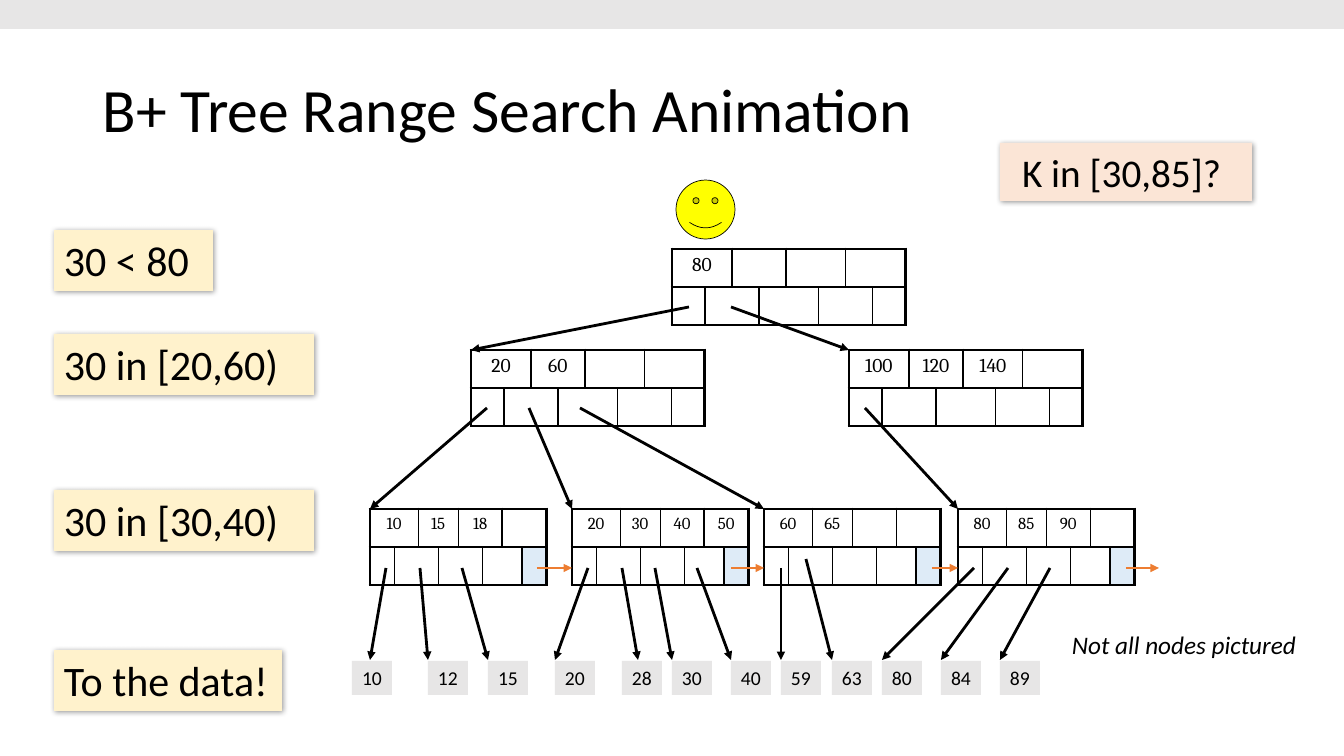
from lxml import etree
from pptx import Presentation
from pptx import util as u
from pptx.dml.color import RGBColor
from pptx.enum import shapes, text
from pptx.oxml import ns

PX = 914400 / 100.8
BLACK = RGBColor(0x00, 0x00, 0x00)
GREY = RGBColor(0xE7, 0xE6, 0xE6)
CREAM = RGBColor(0xFF, 0xF2, 0xCC)
PEACH = RGBColor(0xFB, 0xE5, 0xD6)
PALE_BLUE = RGBColor(0xDE, 0xEB, 0xF7)
ORANGE = RGBColor(0xED, 0x7D, 0x31)
YELLOW = RGBColor(0xFF, 0xFF, 0x00)

ROW_HEIGHT = 38
SLOT_Y = 59
INNER_WIDTHS = (33, 27, 27, 27, 33, 27, 27, 33)
LEAF_WIDTHS = (24, 20, 20, 20, 24, 20, 20, 24)
KEY_GROUPS = ((0, 1), (2, 3), (4, 5), (6, 7))
POINTER_GROUPS = ((0, 0), (1, 2), (3, 4), (5, 6), (7, 7))

ROOT = (672, 249)
LEFT_INNER = (471, 350)
RIGHT_INNER = (849, 350)
LEAF_TOP = 509
DATA_TOP = 661

INNER_NODES = (
    (ROOT, ("80",)),
    (LEFT_INNER, ("20", "60")),
    (RIGHT_INNER, ("100", "120", "140")),
)
LEAVES = (
    (370, ("10", "15", "18"), 167),
    (572, ("20", "30", "40", "50"), 159),
    (764, ("60", "65"), 168),
    (958, ("80", "85", "90"), 168),
)
CHAIN_END = 1159
CHILD_POINTERS = (
    (ROOT, 17, LEFT_INNER),
    (ROOT, 59, RIGHT_INNER),
    (LEFT_INNER, 16, (370, LEAF_TOP)),
    (LEFT_INNER, 58, (572, LEAF_TOP)),
    (LEFT_INNER, 109, (764, LEAF_TOP)),
    (RIGHT_INNER, 16, (958, LEAF_TOP)),
)
DATA = (
    ("10", 352, 386, SLOT_Y, 18),
    ("12", 428, 420, SLOT_Y, 0),
    ("15", 488, 462, SLOT_Y, 0),
    ("20", 555, 588, SLOT_Y, 0),
    ("28", 622, 622, SLOT_Y, 16),
    ("30", 672, 655, SLOT_Y, 0),
    ("40", 731, 697, SLOT_Y, 0),
    ("59", 781, 781, SLOT_Y, 0),
    ("63", 832, 806, 50, 0),
    ("80", 882, 974, SLOT_Y, 0),
    ("84", 941, 1008, SLOT_Y, 0),
    ("89", 1000, 1050, SLOT_Y, 0),
)
STEPS = (
    ("30 < 80", (54, 230, 159, 61)),
    ("30 in [20,60)", (54, 334, 260, 61)),
    ("30 in [30,40)", (54, 490, 260, 61)),
    ("To the data!", (54, 650, 228, 61)),
)


def emu(*lengths):
    return [u.Emu(round(length * PX)) for length in lengths]


def write(frame, words, size=14, font="Calibri", italic=False, spacing=None,
          align=text.PP_ALIGN.LEFT, anchor=text.MSO_ANCHOR.TOP, wrap=True):
    frame.word_wrap = wrap
    frame.vertical_anchor = anchor
    paragraph = frame.paragraphs[0]
    paragraph.alignment = align
    if spacing:
        paragraph.line_spacing = spacing
    run = paragraph.add_run()
    run.text = words
    run.font.size = u.Pt(size)
    run.font.name = font
    run.font.italic = italic
    run.font.color.rgb = BLACK


def add_label(slide, words, box, **style):
    write(slide.shapes.add_textbox(*emu(*box)).text_frame, words, **style)


def add_filled(slide, box, color, kind=shapes.MSO_SHAPE.RECTANGLE):
    shape = slide.shapes.add_shape(kind, *emu(*box))
    shape.shadow.inherit = False
    shape.fill.solid()
    shape.fill.fore_color.rgb = color
    shape.line.fill.background()
    return shape


def add_note(slide, words, box, color, **style):
    shape = add_filled(slide, box, color)
    effects = shape._element.spPr.find(ns.qn("a:effectLst"))
    shadow = etree.SubElement(effects, ns.qn("a:outerShdw"), blurRad="50800",
                              dist="12700", dir="2700000", algn="tl")
    tint = etree.SubElement(shadow, ns.qn("a:srgbClr"), val=str(BLACK))
    etree.SubElement(tint, ns.qn("a:alpha"), val="40000")
    write(shape.text_frame, words, **style)


def add_arrow(slide, start, end, color=BLACK):
    arrow = slide.shapes.add_connector(shapes.MSO_CONNECTOR.STRAIGHT,
                                       *emu(*start, *end))
    arrow.line.color.rgb = color
    arrow.line.width = u.Pt(2)
    etree.SubElement(arrow.line._get_or_add_ln(), ns.qn("a:tailEnd"),
                     type="triangle")
    etree.SubElement(arrow._element.spPr, ns.qn("a:effectLst"))


def set_borders(cell, outer_sides):
    properties = cell._tc.get_or_add_tcPr()
    for side in "LRTB":
        width = u.Pt(2.25 if side in outer_sides else 1)
        line = etree.SubElement(properties, ns.qn(f"a:ln{side}"), w=str(width))
        fill = etree.SubElement(line, ns.qn("a:solidFill"))
        etree.SubElement(fill, ns.qn("a:srgbClr"), val=str(BLACK))


def add_node(slide, corner, keys, widths, size, last_fill=None):
    frame = slide.shapes.add_table(
        2, len(widths), *emu(*corner, sum(widths), 2 * ROW_HEIGHT))
    table = frame.table
    table.first_row = table.horz_banding = False
    for column, width in zip(table.columns, widths):
        column.width = emu(width)[0]
    for row, groups in enumerate((KEY_GROUPS, POINTER_GROUPS)):
        table.rows[row].height = emu(ROW_HEIGHT)[0]
        for first, last in groups:
            sides = "TB"[row] + "L" * (first == 0) + "R" * (last == 7)
            for column in range(first, last + 1):
                cell = table.cell(row, column)
                set_borders(cell, sides)
                cell.fill.background()
                cell.margin_top, cell.margin_bottom = emu(5, 0)
            if last > first:
                table.cell(row, first).merge(table.cell(row, last))
    for key, (first, _) in zip(keys, KEY_GROUPS):
        write(table.cell(0, first).text_frame, key, size=size, font="Cambria",
              align=text.PP_ALIGN.CENTER)
    if last_fill is not None:
        cell = table.cell(1, 7)
        cell.fill.solid()
        cell.fill.fore_color.rgb = last_fill


def add_tree(slide):
    for corner, keys in INNER_NODES:
        add_node(slide, corner, keys, INNER_WIDTHS, 14)
    for left, keys, _ in LEAVES:
        add_node(slide, (left, LEAF_TOP), keys, LEAF_WIDTHS, 12, PALE_BLUE)
    for (left, top), slot, child in CHILD_POINTERS:
        add_arrow(slide, (left + slot, top + SLOT_Y - 1), child)
    chain_ends = [leaf[0] for leaf in LEAVES[1:]] + [CHAIN_END]
    for (left, _, slot), end in zip(LEAVES, chain_ends):
        y = LEAF_TOP + SLOT_Y
        add_arrow(slide, (left + slot, y), (end, y), ORANGE)


def add_data_row(slide, top):
    for value, left, slot_x, slot_y, tip in DATA:
        shape = add_filled(slide, (left, top, 40, 34), GREY)
        write(shape.text_frame, value, align=text.PP_ALIGN.CENTER,
              anchor=text.MSO_ANCHOR.MIDDLE, wrap=False)
        add_arrow(slide, (slot_x, LEAF_TOP + slot_y), (left + tip, top - 1))


def add_smiley(slide, box):
    smiley = add_filled(slide, box, YELLOW, shapes.MSO_SHAPE.SMILEY_FACE)
    smiley.line.color.rgb = BLACK
    smiley.line.width = u.Pt(0.5)


def main():
    presentation = Presentation()
    presentation.slide_width, presentation.slide_height = emu(1344, 756)
    slide = presentation.slides.add_slide(presentation.slide_layouts[6])
    add_label(slide, "B+ Tree Range Search Animation", (93, 40, 1159, 146),
              size=44, spacing=0.9, anchor=text.MSO_ANCHOR.MIDDLE)
    add_tree(slide)
    add_data_row(slide, DATA_TOP)
    add_note(slide, "K in [30,85]? ", (1000, 143, 252, 58), PEACH, size=28,
             align=text.PP_ALIGN.CENTER)
    for words, box in STEPS:
        add_note(slide, words, box, CREAM, size=30)
    add_label(slide, "Not all nodes pictured", (1062, 624, 247, 40), size=18,
              italic=True, wrap=False)
    add_smiley(slide, (676, 180, 59, 59))
    add_filled(slide, (0, 0, 1344, 29), GREY)
    presentation.save("out.pptx")


if __name__ == "__main__":
    main()
